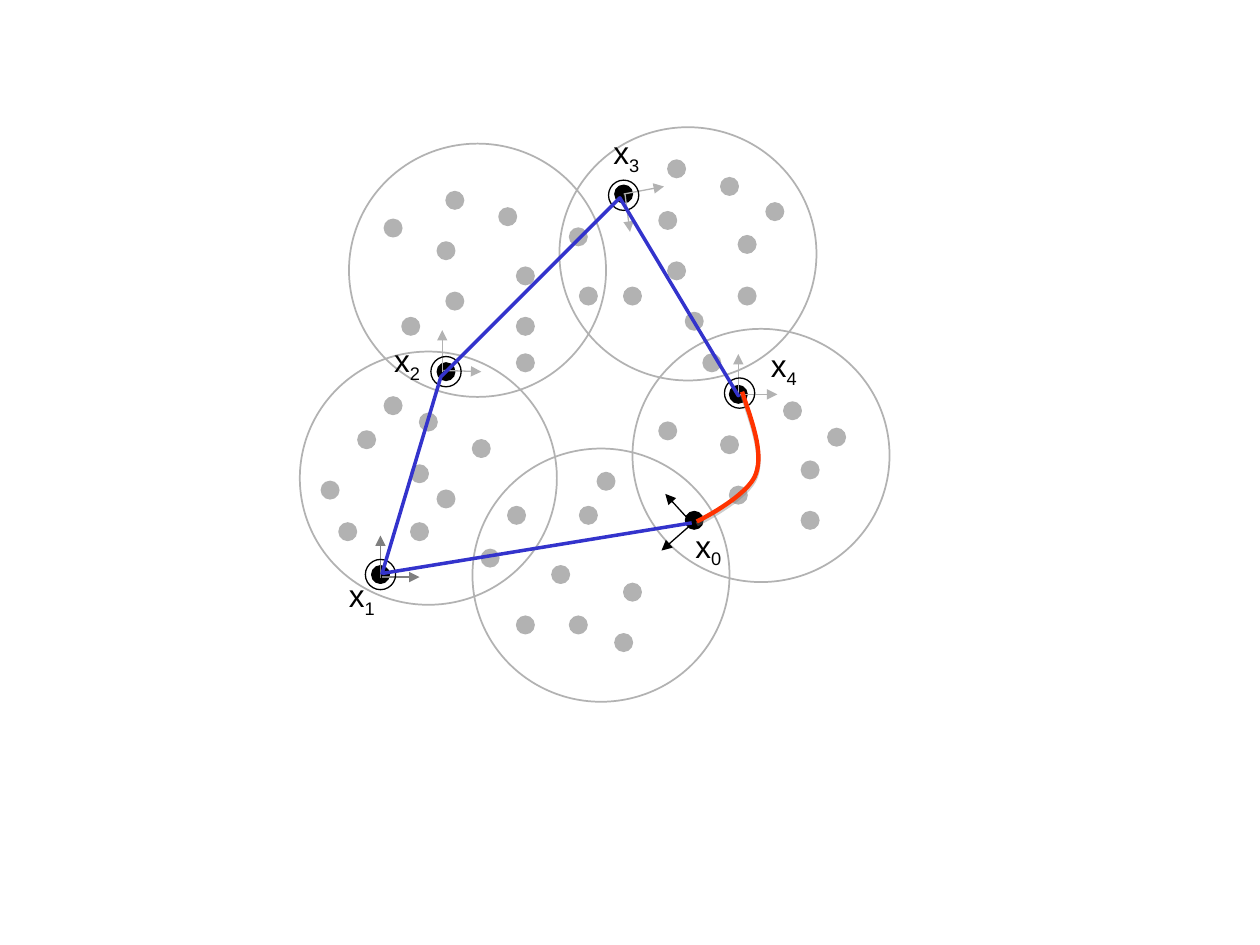
from lxml import etree
from pptx import Presentation
from pptx.dml.color import RGBColor
from pptx.enum import shapes, text
from pptx.oxml.ns import qn
from pptx.util import Inches, Pt

HUE = {"gray": "B2B2B2", "dark": "7F7F7F", "black": "000000",
       "blue": "3333CC", "red": "FF3300", "shade": "808080"}
DOT, RING, RANGE = (0.14, 0.14), (0.24, 0.24), (2.04, 2.01)

# Left and top of each sensor dot, by region
DOTS = [
    # lower left
    (2.55, 3.82), (2.84, 3.42), (3.26, 3.69), (3.05, 3.15), (3.33, 3.28),
    (3.75, 3.49), (2.69, 4.15), (3.26, 4.15), (3.47, 3.89),
    # bottom
    (4.6, 4.02), (4.38, 4.49), (4.74, 3.75), (4.88, 5.03), (3.82, 4.36),
    (4.52, 4.89), (4.03, 4.02), (4.95, 4.63), (4.1, 4.89),
    # upper right
    (5.23, 1.68), (5.3, 2.08), (5.86, 2.28), (5.3, 1.27), (6.08, 1.61),
    (5.86, 1.87), (5.72, 1.41), (4.95, 2.28), (5.44, 2.48),
    # lower right
    (5.23, 3.35), (5.72, 3.46), (5.79, 3.86), (6.36, 4.06), (6.57, 3.4),
    (6.36, 3.66), (6.22, 3.19), (5.58, 2.81),
    # upper left
    (3.05, 1.74), (3.47, 1.92), (3.54, 2.32), (4.1, 2.52), (3.54, 1.52),
    (4.52, 1.81), (4.1, 2.12), (3.96, 1.65), (3.19, 2.52), (4.1, 2.81),
    (4.6, 2.28),
]
NODES = [(5.44, 4.06), (2.95, 4.49), (3.47, 2.88), (4.88, 1.47), (5.79, 3.06)]
RINGS = [(2.9, 4.44), (3.42, 2.83), (4.83, 1.43), (5.75, 3)]
RANGES = [(2.77, 1.14), (4.44, 1.01), (5.02, 2.61), (3.75, 3.56), (2.38, 2.79)]
LABELS = [(5.42, 4.13), (2.67, 4.52), (3.03, 2.66), (4.77, 1.01), (6.02, 2.7)]

# Local axes: start, end, colour
AXES = [
    ((3.02, 4.59), (3.02, 4.25), "dark"), ((3.03, 4.58), (3.33, 4.58), "dark"),
    ((3.51, 2.95), (3.51, 2.62), "gray"), ((3.52, 2.94), (3.82, 2.95), "gray"),
    ((4.95, 1.54), (5.27, 1.48), "gray"), ((4.96, 1.54), (5, 1.84), "gray"),
    ((5.86, 3.14), (5.86, 2.81), "gray"), ((5.87, 3.13), (6.17, 3.13), "gray"),
    ((5.5, 4.15), (5.25, 4.37), "black"), ((5.49, 4.15), (5.28, 3.92), "black"),
]
ROUTE = [(3.03, 4.56), (3.5, 2.99), (4.92, 1.57), (5.86, 3.14), (5.87, 3.13)]
BENDS = [((5.89, 3.11), (5.97, 3.35), (6.06, 3.59), (6, 3.76)),
         ((6, 3.76), (5.94, 3.94), (5.53, 4.14), (5.53, 4.14))]


def rgb(name):
    return RGBColor.from_string(HUE[name])


def stroke(item, hue, width):
    item.line.color.rgb = rgb(hue)
    item.line.width = Pt(width)


def oval(slide, at, size, hue, width=0.75, fill=True):
    item = slide.shapes.add_shape(
        shapes.MSO_SHAPE.OVAL, *map(Inches, at + size))
    item.shadow.inherit = False
    if fill:
        item.fill.solid()
        item.fill.fore_color.rgb = rgb(hue)
    else:
        item.fill.background()
    stroke(item, hue, width)


def line(slide, start, end, hue, width=0.75, arrow=False):
    item = slide.shapes.add_connector(
        shapes.MSO_CONNECTOR.STRAIGHT, *map(Inches, start + end))
    stroke(item, hue, width)
    if arrow:
        etree.SubElement(item.line._get_or_add_ln(), qn("a:tailEnd"),
                         type="triangle")
    etree.SubElement(item._element.spPr, qn("a:effectLst"))


def trace(slide, points, hue, width):
    first, *rest = [tuple(map(Inches, spot)) for spot in points]
    pen = slide.shapes.build_freeform(*first)
    pen.add_line_segments(rest, close=False)
    item = pen.convert_to_shape()
    item.shadow.inherit = False
    item.fill.background()
    stroke(item, hue, width)
    return item


def bend(a, b, c, d, steps=16):
    """Points along a cubic curve."""
    for t in (i / steps for i in range(steps + 1)):
        s = 1 - t
        yield tuple(s**3 * p + 3 * s * s * t * q + 3 * s * t * t * r + t**3 * v
                    for p, q, r, v in zip(a, b, c, d))


def shade(item):
    """Drop a faint shadow just below a stroke."""
    effects = item._element.spPr.find(qn("a:effectLst"))
    drop = etree.SubElement(effects, qn("a:outerShdw"), blurRad="0",
                            dist=str(Pt(1.6)), dir="5400000", rotWithShape="0")
    tint = etree.SubElement(drop, qn("a:srgbClr"), val=HUE["shade"])
    etree.SubElement(tint, qn("a:alpha"), val="38000")


def label(slide, at, words, sub="", size=18, hue="black", face="Arial"):
    box = slide.shapes.add_textbox(*map(Inches, at + (0.55, 0.44)))
    frame = box.text_frame
    frame.word_wrap = True
    frame.auto_size = text.MSO_AUTO_SIZE.NONE
    para = frame.paragraphs[0]
    for part, base in ((words, None), (sub, "-25000")):
        run = para.add_run()
        run.text = part
        run.font.size = Pt(size)
        run.font.name = face
        run.font.color.rgb = rgb(hue)
        if base:
            run._r.get_or_add_rPr().set("baseline", base)


def main():
    deck = Presentation()
    deck.slide_width, deck.slide_height = Inches(10), Inches(7.5)
    slide = deck.slides.add_slide(deck.slide_layouts[6])

    # Sensors and path nodes
    for at in DOTS:
        oval(slide, at, DOT, "gray")
    for at in NODES:
        oval(slide, at, DOT, "black")

    # Sensing ranges, local axes and node rings
    for at in RANGES:
        oval(slide, at, RANGE, "gray", 1, fill=False)
    for start, end, hue in AXES:
        line(slide, start, end, hue, arrow=True)
    for at in RINGS:
        oval(slide, at, RING, "black", fill=False)

    # Route between nodes and the closing curve
    trace(slide, ROUTE, "blue", 2)
    line(slide, (5.49, 4.15), (3.04, 4.55), "blue", 2)
    curve = [spot for part in BENDS for spot in bend(*part)]
    shade(trace(slide, curve, "red", 2.5))

    # Node names
    for i, at in enumerate(LABELS):
        label(slide, at, "x", sub=str(i))

    deck.save("out.pptx")


if __name__ == "__main__":
    main()
